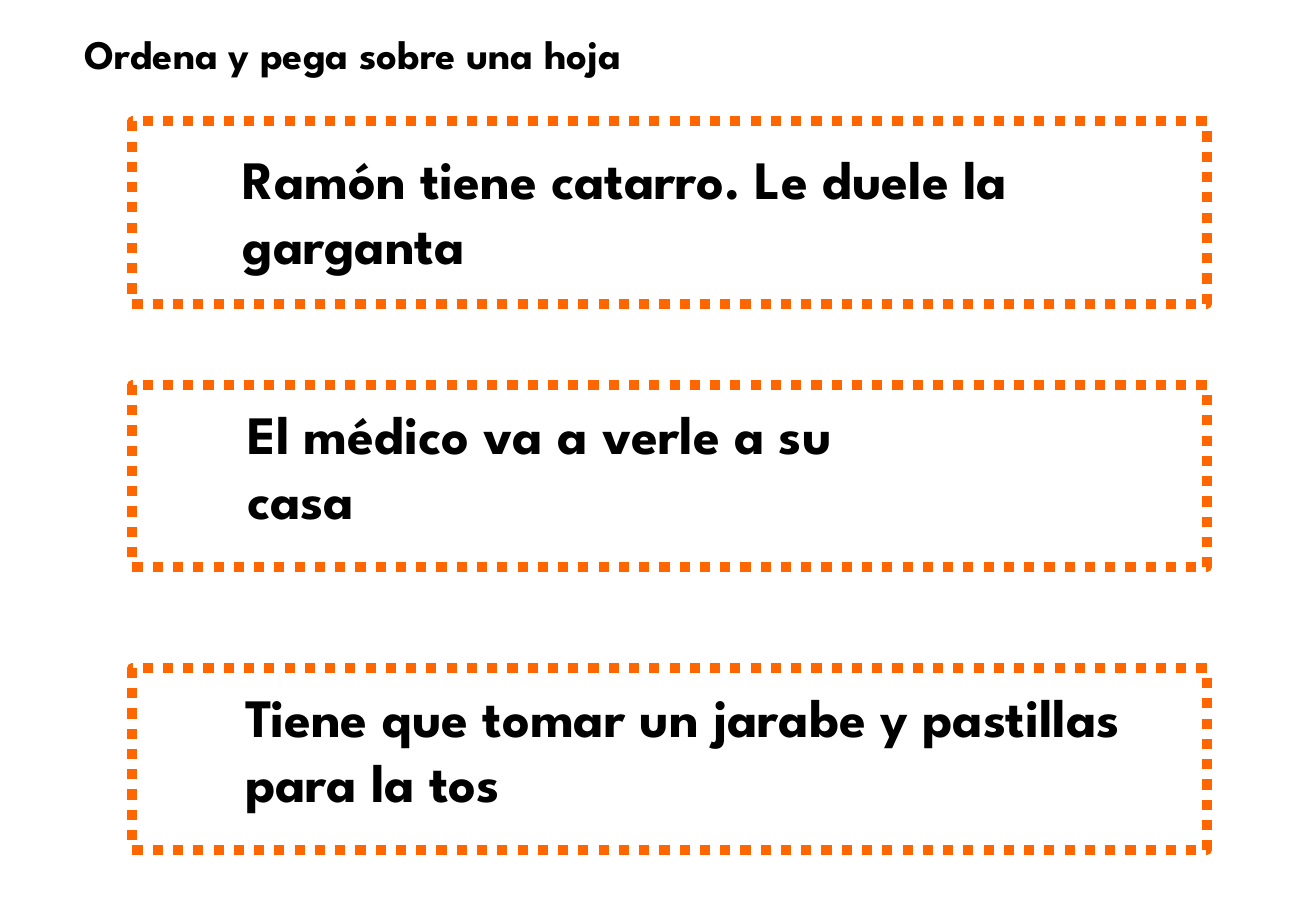
from pptx import Presentation
from pptx.dml.color import RGBColor
from pptx.enum.dml import MSO_LINE
from pptx.enum.shapes import MSO_SHAPE
from pptx.enum.text import MSO_ANCHOR, MSO_AUTO_SIZE, PP_ALIGN
from pptx.util import Pt

# Content: sentence, frame top, text left, text offset below frame top, text width
TITLE = "Ordena y pega sobre una hoja"
STRIPS = [
    ("Ramón tiene catarro. Le duele la garganta", 72, 136.8, 10.8, 560.16),
    ("El médico va a verle a su\vcasa", 228.24, 139.68, 5.76, 485.28),
    ("Tiene que tomar un jarabe y pastillas para la tos", 396, 138.24, 5.76, 548.64),
]

# Style and layout, in points
BLACK = RGBColor(0x00, 0x00, 0x00)
ORANGE = RGBColor(0xFF, 0x66, 0x00)
FONT = "League Spartan"
SLIDE_WIDTH, SLIDE_HEIGHT = 780.48, 540
FRAME_LEFT, FRAME_WIDTH, FRAME_HEIGHT = 78.48, 637.2, 108
SENTENCE_HEIGHT = 84.24


def add_text(shapes, text, *, left, top, width, height, size):
    box = shapes.add_textbox(Pt(left), Pt(top), Pt(width), Pt(height))
    frame = box.text_frame
    frame.word_wrap = True
    frame.auto_size = MSO_AUTO_SIZE.SHAPE_TO_FIT_TEXT
    frame.vertical_anchor = MSO_ANCHOR.TOP
    paragraph = frame.paragraphs[0]
    paragraph.text = text
    paragraph.alignment = PP_ALIGN.LEFT
    for run in paragraph.runs:
        run.font.name = FONT
        run.font.size = Pt(size)
        run.font.bold = True
        run.font.color.rgb = BLACK


def add_dotted_frame(shapes, top):
    shape = shapes.add_shape(MSO_SHAPE.RECTANGLE, Pt(FRAME_LEFT), Pt(top),
                             Pt(FRAME_WIDTH), Pt(FRAME_HEIGHT))
    shape.shadow.inherit = False
    shape.fill.background()
    shape.line.color.rgb = ORANGE
    shape.line.width = Pt(6)
    shape.line.dash_style = MSO_LINE.ROUND_DOT


def main():
    presentation = Presentation()
    presentation.slide_width = Pt(SLIDE_WIDTH)
    presentation.slide_height = Pt(SLIDE_HEIGHT)
    slide = presentation.slides.add_slide(presentation.slide_layouts[6])

    # Sentence strips to cut out
    for sentence, top, left, offset, width in STRIPS:
        strip = slide.shapes.add_group_shape()
        add_text(strip.shapes, sentence, left=left, top=top + offset,
                 width=width, height=SENTENCE_HEIGHT, size=32)
        add_dotted_frame(strip.shapes, top)

    # Instruction
    add_text(slide.shapes, TITLE, left=43.2, top=13.68, width=378, height=36, size=24)

    presentation.save("out.pptx")


if __name__ == "__main__":
    main()
